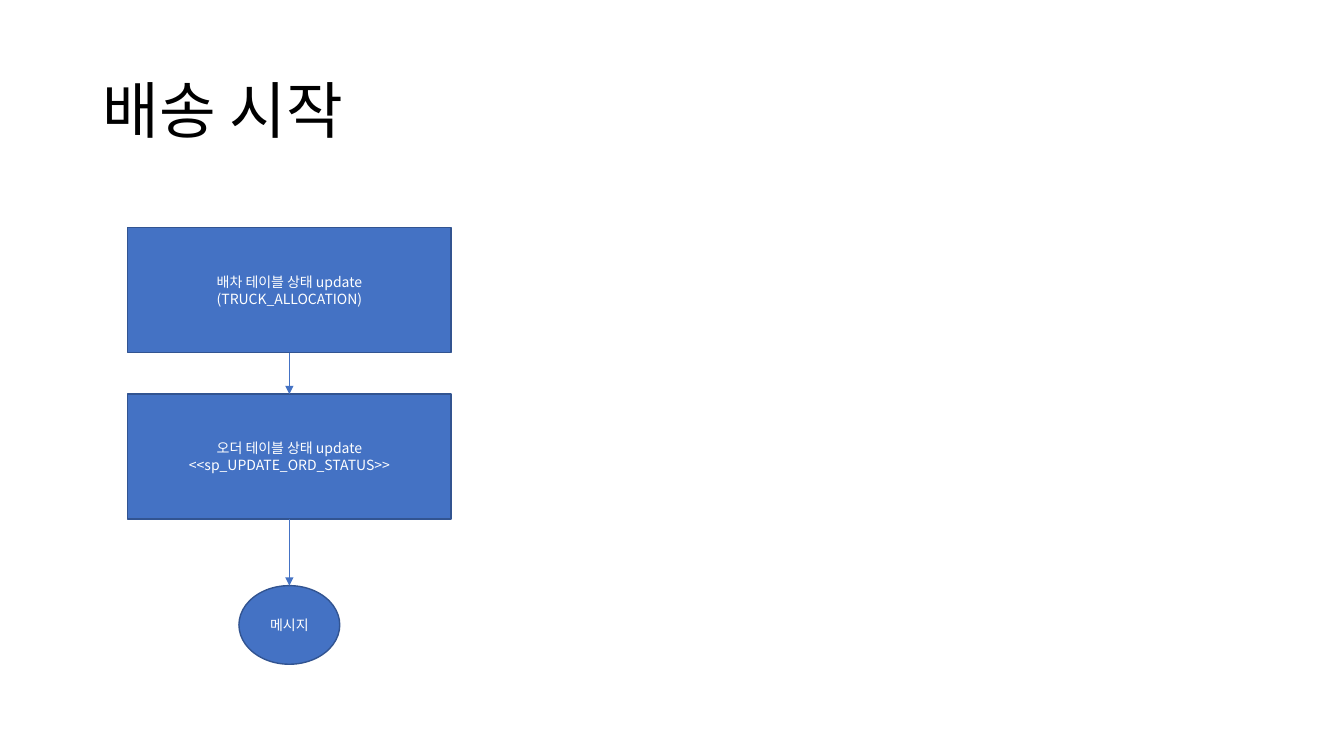
from lxml import etree
from pptx import Presentation
from pptx.dml.color import RGBColor
from pptx.enum import shapes, text
from pptx.oxml.ns import qn
from pptx.util import Inches, Pt

FONT = "Noto Sans CJK KR"
BLUE, EDGE = "4472C4", "325491"


def color(code):
    return RGBColor.from_string(code)


def write(frame, lines, size, code, align):
    frame.word_wrap = True
    frame.vertical_anchor = text.MSO_ANCHOR.MIDDLE
    for i, line in enumerate(lines):
        para = frame.add_paragraph() if i else frame.paragraphs[0]
        para.alignment = align
        run = para.add_run()
        run.text = line
        run.font.size = Pt(size)
        run.font.name = FONT
        run.font.color.rgb = color(code)
        etree.SubElement(run.font._element, qn("a:ea"), typeface=FONT)


deck = Presentation()
deck.slide_width, deck.slide_height = Inches(13.33), Inches(7.5)
slide = deck.slides.add_slide(deck.slide_layouts[6])

title = slide.shapes.add_textbox(Inches(0.92), Inches(0.4), Inches(11.5), Inches(1.45))
write(title.text_frame, ["배송 시작"], 44, "000000", text.PP_ALIGN.LEFT)
title.text_frame.paragraphs[0].line_spacing = 0.9

RECT, OVAL = shapes.MSO_SHAPE.RECTANGLE, shapes.MSO_SHAPE.OVAL
steps = [
    (RECT, 2.26, 3.21, 1.24, ["배차 테이블 상태 update", "(TRUCK_ALLOCATION)"]),
    (RECT, 3.91, 3.21, 1.24, ["오더 테이블 상태 update", "<<sp_UPDATE_ORD_STATUS>>"]),
    (OVAL, 5.81, 1, 0.78, ["메시지"]),
]
mid = 2.87
last = None
for kind, top, width, height, lines in steps:
    node = slide.shapes.add_shape(
        kind, Inches(mid - width / 2), Inches(top), Inches(width), Inches(height))
    node.shadow.inherit = False
    node.fill.solid()
    node.fill.fore_color.rgb = color(BLUE)
    node.line.color.rgb = color(EDGE)
    node.line.width = Pt(1)
    write(node.text_frame, lines, 10, "FFFFFF", text.PP_ALIGN.CENTER)
    if last:
        arrow = slide.shapes.add_connector(shapes.MSO_CONNECTOR.STRAIGHT, 0, 0, 0, 0)
        arrow.begin_connect(last, 2 if last.auto_shape_type == RECT else 4)
        arrow.end_connect(node, 0)
        arrow.line.color.rgb = color(BLUE)
        arrow.line.width = Pt(0.5)
        etree.SubElement(arrow.line._get_or_add_ln(), qn("a:tailEnd"), type="triangle")
        etree.SubElement(arrow._element.spPr, qn("a:effectLst"))
    last = node

deck.save("out.pptx")
